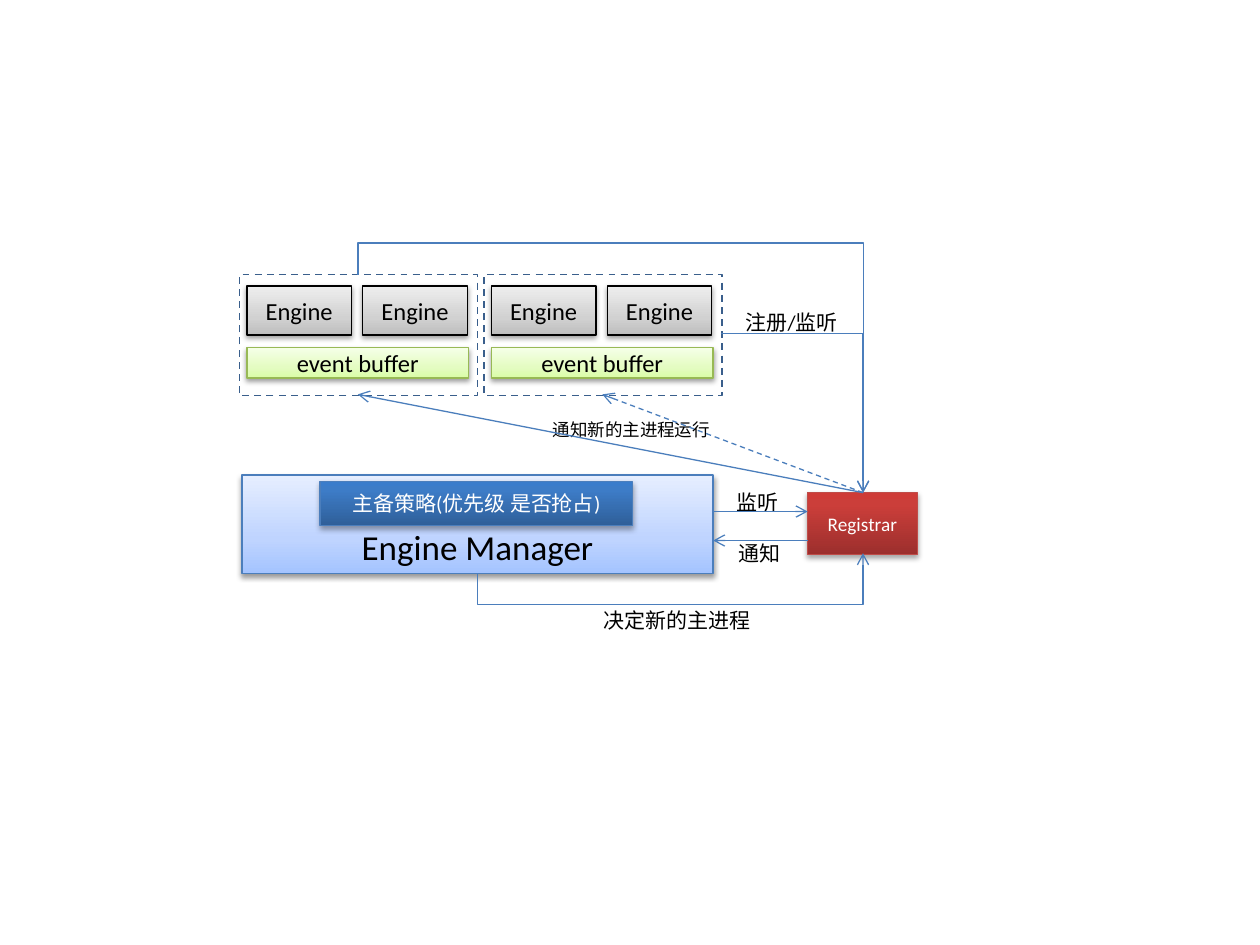
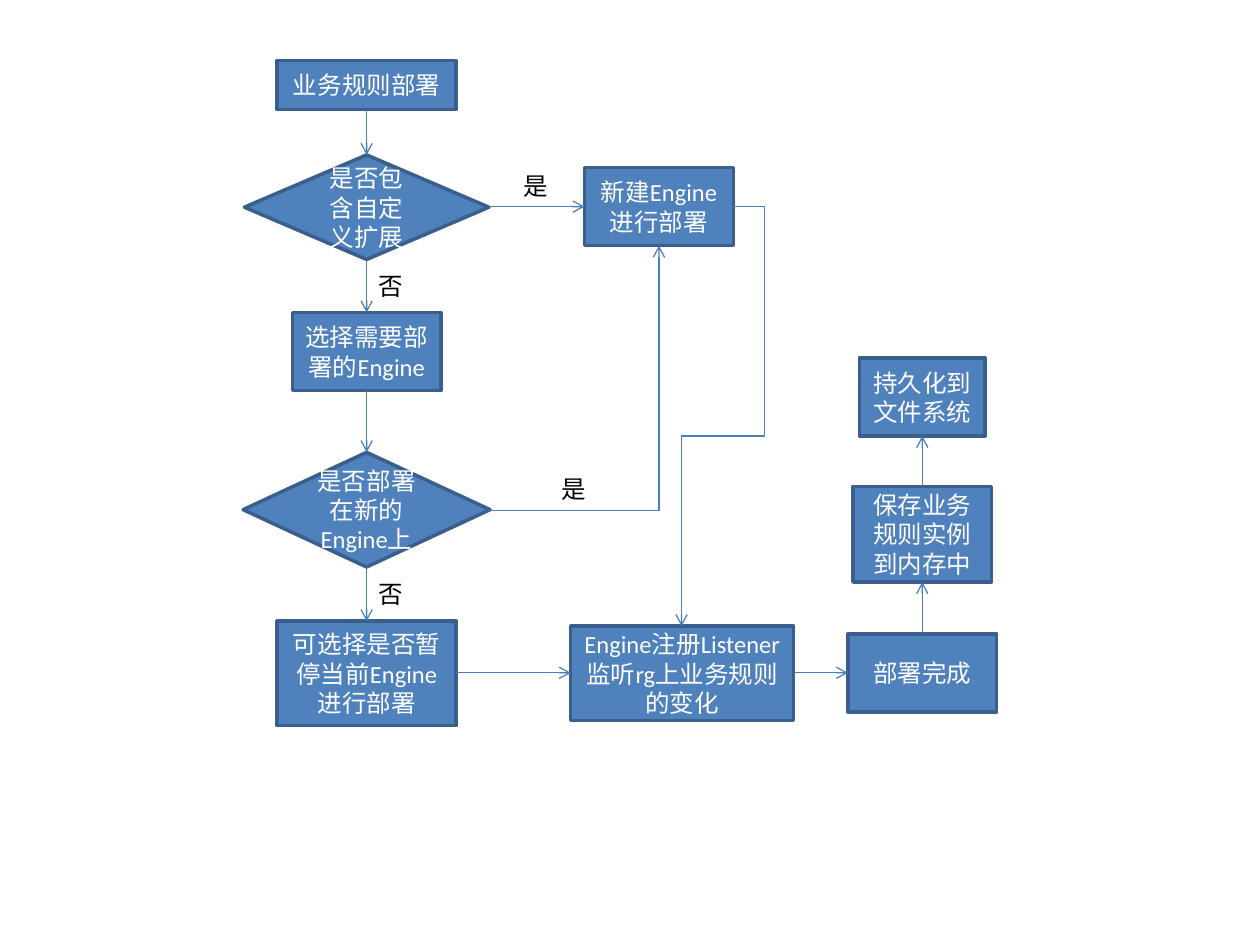
from copy import deepcopy

from lxml import etree
from pptx import Presentation
from pptx.dml.color import RGBColor
from pptx.enum.dml import MSO_LINE
from pptx.enum.shapes import MSO_CONNECTOR, MSO_SHAPE
from pptx.enum.text import MSO_ANCHOR, MSO_AUTO_SIZE, PP_ALIGN
from pptx.oxml.ns import qn
from pptx.util import Inches, Pt

RECT, DIAMOND = MSO_SHAPE.RECTANGLE, MSO_SHAPE.DIAMOND
STRAIGHT, ELBOW = MSO_CONNECTOR.STRAIGHT, MSO_CONNECTOR.ELBOW
DASH = MSO_LINE.DASH
CENTER, LEFT = PP_ALIGN.CENTER, PP_ALIGN.LEFT
BOTTOM = MSO_ANCHOR.BOTTOM
FIT = MSO_AUTO_SIZE.SHAPE_TO_FIT_TEXT

FONT = "Calibri"
BLACK = RGBColor(0x00, 0x00, 0x00)
WHITE = RGBColor(0xFF, 0xFF, 0xFF)
BLUE = RGBColor(0x4F, 0x81, 0xBD)
NAVY = RGBColor(0x3A, 0x5F, 0x8C)
WIRE = RGBColor(0x4B, 0x7E, 0xBC)
LIME = RGBColor(0x98, 0xB9, 0x55)
BRICK = RGBColor(0xBF, 0x4C, 0x48)


def blend(mid, *codes):
    """Pair three hex colours with the places 0, mid and 1."""
    return list(zip((0, mid, 1), map(RGBColor.from_string, codes)))


SKY = blend(0.35, "A4C4FF", "BFD4FF", "E6EEFF")
GREY = blend(0.35, "BDBDBD", "D1D1D1", "EEEEEE")
GREEN = blend(0.35, "DAFDA7", "E4FCC2", "F5FFE7")
DEEP = blend(0.8, "2F5F99", "3D7CC7", "3A7CCB")
RED = blend(0.8, "9C2F2D", "CB3E3A", "CE3B37")


class Deck:
    """The style of the diagrams and the slide being drawn."""

    def __init__(self):
        """Start an empty 4:3 deck."""
        self.prs = Presentation()
        self.prs.slide_width = Inches(10)
        self.prs.slide_height = Inches(7.5)
        self.slide = None

    def page(self):
        """Add a blank slide and make it current."""
        self.slide = self.prs.slides.add_slide(self.prs.slide_layouts[6])

    def words(self, shape, text, size, color, align):
        """Put one styled paragraph into a shape."""
        frame = shape.text_frame
        frame.text = text
        par = frame.paragraphs[0]
        par.alignment = align
        for run in par.runs:
            run.font.name = FONT
            run.font.size = Pt(size)
            run.font.color.rgb = color

    def box(self, at, edge, width, kind=RECT):
        """Add an outlined shape without fill or shadow."""
        shape = self.slide.shapes.add_shape(kind, *map(Inches, at))
        shape.shadow.inherit = False
        shape.fill.background()
        shape.line.color.rgb = edge
        shape.line.width = Pt(width)
        return shape

    def step(self, at, text, kind=RECT):
        """Add a plain blue box of the flow chart."""
        shape = self.box(at, NAVY, 2, kind)
        shape.fill.solid()
        shape.fill.fore_color.rgb = BLUE
        self.words(shape, text, 14, WHITE, CENTER)

    def block(self, at, text, size, tint, edge, color=BLACK):
        """Add a shaded block with a soft shadow."""
        shape = self.box(at, edge, 0.75)
        fill = shape.fill
        fill.gradient()
        fill.gradient_angle = 90
        props = shape._element.spPr
        stops = props.find(".//" + qn("a:gsLst"))
        stops.append(deepcopy(stops[-1]))
        for stop, (place, tone) in zip(fill.gradient_stops, tint):
            stop.position = place
            stop.color.rgb = tone
        alpha, dist = (35, 1.8) if color == WHITE else (38, 1.6)
        cast = etree.SubElement(
            props.find(qn("a:effectLst")), qn("a:outerShdw"),
            blurRad=str(Pt(3.1)), dist=str(Pt(dist)), dir="5400000", rotWithShape="0")
        tone = etree.SubElement(cast, qn("a:srgbClr"), val="000000")
        etree.SubElement(tone, qn("a:alpha"), val=str(alpha * 1000))
        self.words(shape, text, size, color, CENTER)
        return shape

    def label(self, at, text, size, wrap=False):
        """Add a free text that grows with its content."""
        shape = self.slide.shapes.add_textbox(*map(Inches, at))
        self.words(shape, text, size, BLACK, LEFT)
        shape.text_frame.word_wrap = wrap
        shape.text_frame.auto_size = FIT

    def arrow(self, start, end, kind=STRAIGHT, dash=None):
        """Add a thin line with an open head at its end."""
        wire = self.slide.shapes.add_connector(kind, *map(Inches, (*start, *end)))
        wire.line.color.rgb = WIRE
        wire.line.width = Pt(0.75)
        if dash:
            wire.line.dash_style = dash
        props = wire._element.spPr
        etree.SubElement(props.find(qn("a:ln")), qn("a:tailEnd"), type="arrow")
        etree.SubElement(props, qn("a:effectLst"))
        return wire

    def bend(self, start, end, stops=(), turn=False):
        """Add an elbow arrow; stops are the places of its inner legs.

        With turn it leaves upright: the frame is a quarter turn about its middle.
        """
        ends = start, end
        if turn:
            mx, my = ((a + b) / 2 for a, b in zip(start, end))
            ends = [(mx - (y - my), my + (x - mx)) for x, y in ends]
        wire = self.arrow(*ends, ELBOW)
        props = wire._element.spPr
        if turn:
            props.find(qn("a:xfrm")).set("rot", "16200000")
        geom = props.find(qn("a:prstGeom"))
        geom.set("prst", f"bentConnector{len(stops) + 2}")
        guides = geom.find(qn("a:avLst"))
        for i, stop in enumerate(stops):
            axis = (i + turn) % 2
            part = (stop - start[axis]) / (end[axis] - start[axis])
            etree.SubElement(guides, qn("a:gd"), name=f"adj{i + 1}",
                             fmla=f"val {round(part * 100000)}")


def cluster(deck):
    """Draw the engines, their manager and the registry."""
    deck.page()
    boss = deck.block((1.92, 3.77, 3.74, 0.78), "Engine Manager", 20, SKY, WIRE)
    boss.text_frame.vertical_anchor = BOTTOM
    hub = deck.block((6.41, 3.91, 0.87, 0.49), "Registrar", 11, RED, BRICK, WHITE)
    hub.text_frame.word_wrap = False
    deck.block((2.54, 3.82, 2.48, 0.35), "主备策略(优先级 是否抢占)", 12, DEEP, WIRE, WHITE)

    for x in (1.9, 3.84):
        for dx in (0.06, 0.98):
            deck.block((x + dx, 2.27, 0.83, 0.39), "Engine", 14, GREY, BLACK)
        deck.block((x + 0.06, 2.76, 1.76, 0.24), "event buffer", 14, GREEN, LIME)
        deck.box((x, 2.18, 1.89, 0.96), NAVY, 1).line.dash_style = DASH

    deck.label((5.75, 3.84, 0.53, 0.3), "监听", 12)
    deck.label((5.76, 4.24, 0.53, 0.3), "通知", 12)
    deck.label((4.29, 3.28, 1.46, 0.27), "通知新的主进程运行", 10)
    deck.label((5.82, 2.41, 0.94, 0.3), "注册/监听", 12, wrap=True)
    deck.label((4.69, 4.77, 1.38, 0.3), "决定新的主进程", 12)

    top = (6.85, 3.91)
    deck.arrow((5.66, 4.06), (6.41, 4.06))
    deck.arrow((6.41, 4.29), (5.66, 4.29))
    deck.arrow(top, (4.78, 3.13), dash=DASH)
    deck.arrow(top, (2.84, 3.13))
    deck.bend((5.72, 2.65), top)
    deck.bend((2.84, 2.18), top, [1.93], turn=True)
    deck.bend((3.79, 4.55), (6.85, 4.39), [4.8], turn=True)


def flow(deck):
    """Draw how a business rule is deployed."""
    deck.page()
    for at, text in (
        ((2.2, 0.48, 1.42, 0.39), "业务规则部署"),
        ((2.32, 2.48, 1.18, 0.62), "选择需要部署的Engine"),
        ((2.2, 4.93, 1.42, 0.83), "可选择是否暂停当前Engine进行部署"),
        ((4.64, 1.33, 1.18, 0.62), "新建Engine进行部署"),
        ((4.53, 4.97, 1.77, 0.75), "Engine注册Listener监听rg上业务规则的变化"),
        ((6.73, 5.03, 1.18, 0.62), "部署完成"),
        ((6.77, 3.86, 1.1, 0.76), "保存业务规则实例到内存中"),
        ((6.82, 2.84, 1, 0.62), "持久化到文件系统"),
    ):
        deck.step(at, text)
    deck.step((1.94, 1.23, 1.94, 0.83), "是否包含自定义扩展", DIAMOND)
    deck.step((1.93, 3.59, 1.96, 0.91), "是否部署在新的Engine上", DIAMOND)

    for x, spans in (
        (2.91, ((0.87, 1.23), (2.06, 2.48), (3.1, 3.59), (4.5, 4.93))),
        (7.32, ((5.03, 4.62), (3.86, 3.46))),
    ):
        for y1, y2 in spans:
            deck.arrow((x, y1), (x, y2))
    for x1, x2, y in ((3.88, 4.64, 1.64), (3.62, 4.53, 5.34), (6.3, 6.73, 5.34)):
        deck.arrow((x1, y), (x2, y))
    deck.bend((3.88, 4.05), (5.23, 1.95))
    deck.bend((5.82, 1.64), (5.41, 4.97), [6.07, 3.46])

    for x, y, text in ((4.06, 1.31, "是"), (2.91, 2.1, "否"),
                       (4.36, 3.71, "是"), (2.91, 4.55, "否")):
        deck.label((x, y, 0.4, 0.34), text, 14)


deck = Deck()
cluster(deck)
flow(deck)
deck.prs.save("out.pptx")
